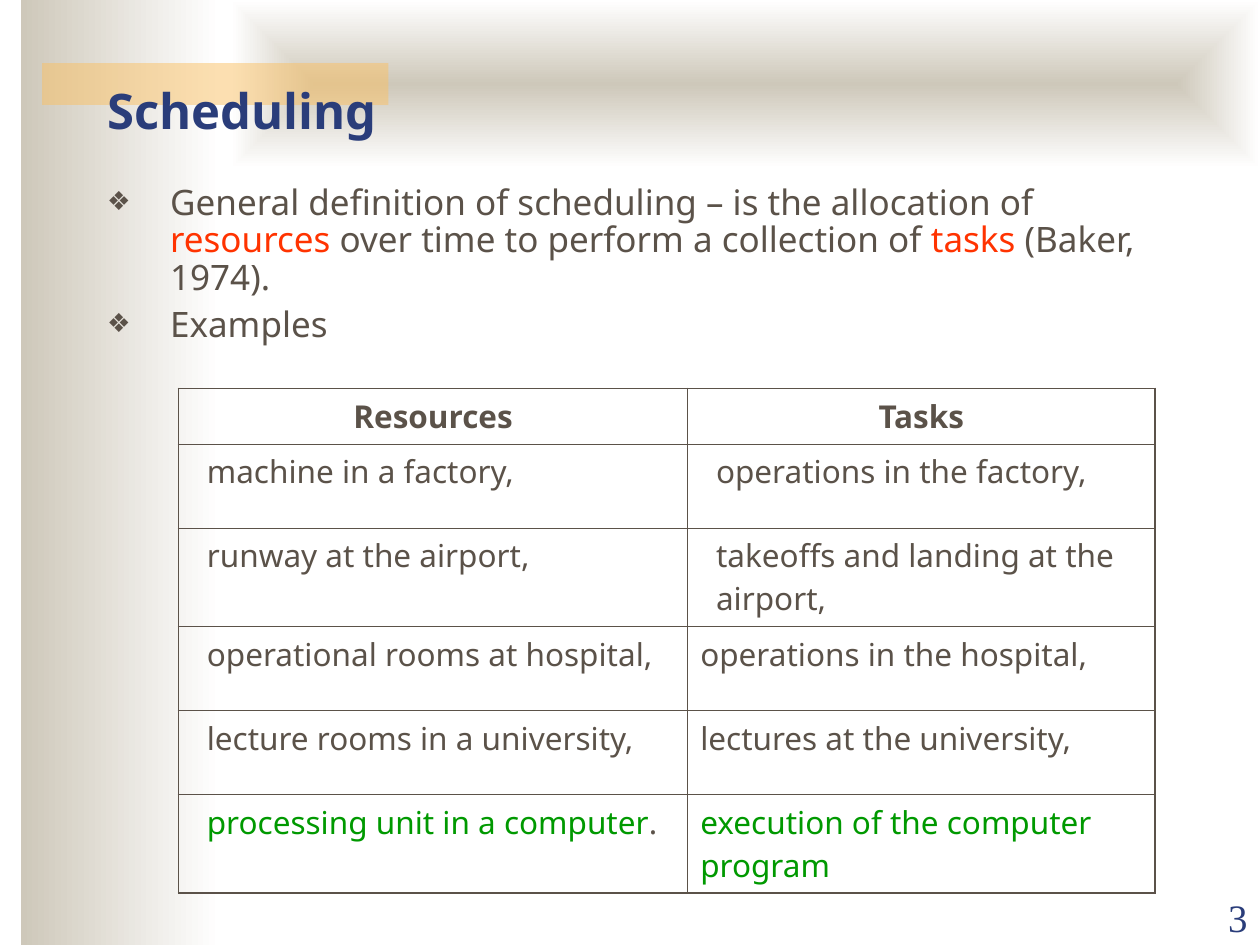
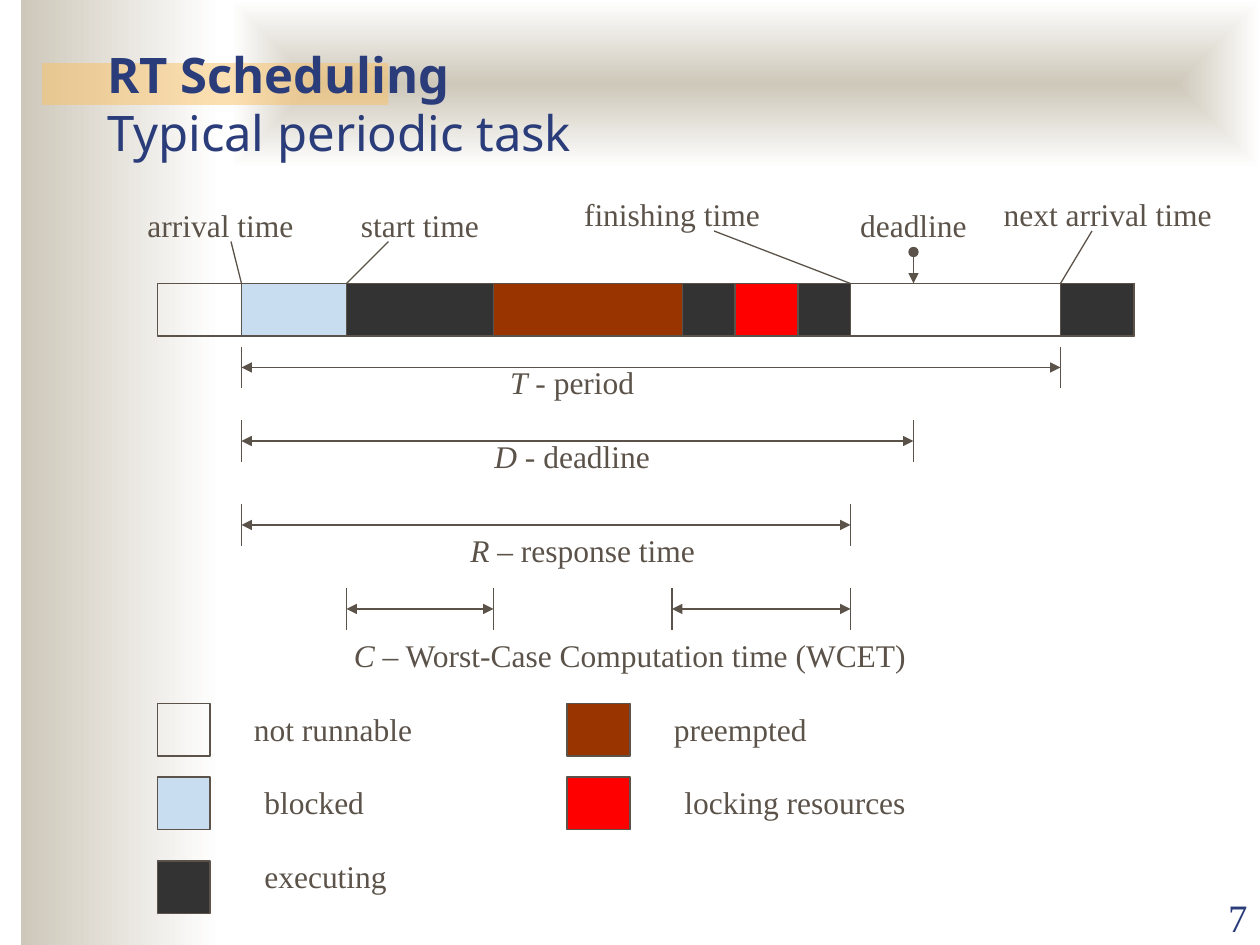
import lxml.etree
import pptx
import pptx.dml.color
import pptx.enum.shapes
import pptx.enum.text
import pptx.oxml
import pptx.oxml.ns
import pptx.util

PX = 9525  # EMU in one px, 96 px to the inch
COLORS = {
    "text": "5B5249", "title": "2A3D7A", "band": "CEC8BA", "white": "FFFFFF",
    "accent": "FAC164", "highlight": "FF3300", "computer": "009900",
    "blocked": "C9DDF1", "executing": "333333", "preempted": "993300",
    "locking": "FF0000",
}
RGB = {name: pptx.dml.color.RGBColor.from_string(value) for name, value in COLORS.items()}
SANS, SERIF = "Noto Sans", "Times New Roman"
ALIGN = pptx.enum.text.PP_ALIGN
ANCHOR = pptx.enum.text.MSO_ANCHOR
RECTANGLE = pptx.enum.shapes.MSO_SHAPE.RECTANGLE
STRAIGHT = pptx.enum.shapes.MSO_CONNECTOR.STRAIGHT
qn = pptx.oxml.ns.qn
nsdecls = pptx.oxml.ns.nsdecls


def write(frame, *lines, font=SERIF, size=18, color="text", bold=False,
          align=ALIGN.LEFT, anchor=ANCHOR.TOP):
    """Fill a text frame; a line is a string or a list of (text, changes) spans."""
    frame.word_wrap = True
    frame.auto_size = pptx.enum.text.MSO_AUTO_SIZE.NONE
    frame.vertical_anchor = anchor
    for number, line in enumerate(lines):
        para = frame.add_paragraph() if number else frame.paragraphs[0]
        para.alignment = align
        for text, changes in [(line, {})] if isinstance(line, str) else line:
            span = para.add_run()
            span.text = text
            span.font.name = font
            span.font.size = pptx.util.Pt(size)
            span.font.bold = changes.get("bold", bold)
            span.font.italic = changes.get("italic", False)
            span.font.color.rgb = RGB[changes.get("color", color)]


def draw_line(page, x1, y1, x2, y2, head=None, tail=None):
    line = page.shapes.add_connector(STRAIGHT, x1 * PX, y1 * PX, x2 * PX, y2 * PX)
    line.line.color.rgb = RGB["text"]
    line.line.width = pptx.util.Pt(0.75)
    for tag, kind in (("a:headEnd", head), ("a:tailEnd", tail)):
        if kind:
            lxml.etree.SubElement(line.line._get_or_add_ln(), qn(tag), type=kind)
    lxml.etree.SubElement(line.element.spPr, qn("a:effectLst"))


deck = pptx.Presentation()
deck.slide_width, deck.slide_height = 960 * PX, 720 * PX

# Pages with their titles and numbers
pages = []
for layout, place, anchor, lines, number in (
    (1, (72, 40, 800, 88), ANCHOR.MIDDLE, ["Scheduling"], "3"),
    (5, (72, 24, 816, 104), ANCHOR.BOTTOM,
     ["RT Scheduling", [("Typical periodic task", {"bold": False})]], "7"),
):
    page = deck.slides.add_slide(deck.slide_layouts[layout])
    title = page.shapes.title
    title.left, title.top, title.width, title.height = [v * PX for v in place]
    write(title.text_frame, *lines, font=SANS, size=28, color="title", bold=True, anchor=anchor)
    box = page.shapes.add_textbox(864 * PX, 673 * PX, 96 * PX, 48 * PX)
    write(box.text_frame, number, size=22.2, color="title", align=ALIGN.RIGHT, anchor=ANCHOR.BOTTOM)
    pages.append(page)
definition_page, timeline_page = pages

# Bands shared through the slide master
bands = []
for place in ((16, 0, 152, 720), (176, 0, 784, 128), (32, 48, 264, 32)):
    band = definition_page.shapes.add_shape(RECTANGLE, *[v * PX for v in place])
    band.shadow.inherit = False
    band.line.fill.background()
    bands.append(band)
side_band, top_band, accent_band = bands
for band in (side_band, top_band):
    band.fill.gradient()
    band.fill.gradient_angle = 0
    for stop, color, position in zip(band.fill.gradient_stops, ("band", "white"), (0, 1)):
        stop.color.rgb = RGB[color]
        stop.position = position
linear = top_band.element.spPr.find(".//" + qn("a:lin"))
linear.getparent().replace(linear, pptx.oxml.parse_xml(
    f'<a:path {nsdecls("a")} path="rect">'
    '<a:fillToRect l="50000" t="50000" r="50000" b="50000"/></a:path>'))
accent_band.fill.solid()
accent_band.fill.fore_color.rgb = RGB["accent"]
accent_color = accent_band.element.spPr.find(".//" + qn("a:srgbClr"))
lxml.etree.SubElement(accent_color, qn("a:alpha"), val="50000")
for index, band in enumerate(bands):
    deck.slide_master.shapes.element.insert(2 + index, band.element)

# Definition of scheduling
body = definition_page.placeholders[1]
body.left, body.top, body.width, body.height = [v * PX for v in (72, 136, 824, 144)]
highlight = {"color": "highlight"}
write(body.text_frame,
      [("General definition of scheduling – is the allocation of ", {}),
       ("resources", highlight),
       (" over time to perform a collection of ", {}),
       ("tasks", highlight),
       (" (Baker, 1974).", {})],
      "Examples", font=SANS, size=20)
for number, para in enumerate(body.text_frame.paragraphs):
    properties = para._p.get_or_add_pPr()
    properties.set("marL", str(48 * PX))
    properties.set("indent", str(-48 * PX))
    bullet_color = lxml.etree.SubElement(properties, qn("a:buClr"))
    lxml.etree.SubElement(bullet_color, qn("a:srgbClr"), val=COLORS["text"])
    lxml.etree.SubElement(properties, qn("a:buSzPct"), val="75000")
    lxml.etree.SubElement(properties, qn("a:buChar"), char="❖")
    para.line_spacing = 0.9
    para.space_before = pptx.util.Pt(5 if number else 0)

# Examples of resources and tasks
computer = {"color": "computer"}
examples = [
    ("Resources", "Tasks"),
    ("machine in a factory,", "operations in the factory,"),
    ("runway at the airport,", "takeoffs and landing at the airport,"),
    ("operational rooms at hospital,", "operations in the hospital,"),
    ("lecture rooms in a university,", "lectures at the university,"),
    ([("processing unit in a computer", computer), (".", {})],
     [("execution of the computer program", computer)]),
]
row_heights, column_widths = (40, 64, 73, 64, 64, 67), (388, 356)
table = definition_page.shapes.add_table(
    len(row_heights), len(column_widths), *[v * PX for v in (136, 296, 744, 372)]).table
table.first_row = table.horz_banding = False
for column, width in zip(table.columns, column_widths):
    column.width = width * PX
for r, (row, height) in enumerate(zip(table.rows, row_heights)):
    row.height = height * PX
    for c, cell in enumerate(row.cells):
        para = cell.text_frame.paragraphs[0]
        write(cell.text_frame, examples[r][c], font=SANS, bold=r == 0,
              align=ALIGN.LEFT if r else ALIGN.CENTER)
        if r and (c == 0 or r < 3):
            para.level = 1
            para._p.get_or_add_pPr().set("marL", str(12 * PX))
        cell.fill.background()
        outer_sides = (c == 0, c == 1, r == 0, r == len(row_heights) - 1)
        for index, (side, outer) in enumerate(zip("LRTB", outer_sides)):
            width = pptx.util.Pt(1.08 if outer else 0.45)
            cell._tc.get_or_add_tcPr().insert(index, pptx.oxml.parse_xml(
                f'<a:ln{side} {nsdecls("a")} w="{width}"><a:solidFill>'
                f'<a:srgbClr val="{COLORS["text"]}"/></a:solidFill></a:ln{side}>'))

# Timeline and legend boxes
BAR_TOP, BAR_HEIGHT = 216, 40
segments = [
    (120, 864, None), (184, 808, None), (184, 264, "blocked"), (264, 376, "executing"),
    (376, 520, "preempted"), (520, 560, "executing"), (560, 608, "locking"),
    (608, 648, "executing"), (808, 864, "executing"),
]
legend = [  # swatch left, top, width, colour; label, left, top, width
    (120, 536, 40, None, "not runnable", 184, 536, 152),
    (120, 592, 40, "blocked", "blocked", 192, 592, 128),
    (120, 656, 40, "executing", "executing", 192, 648, 128),
    (432, 536, 48, "preempted", "preempted", 504, 536, 144),
    (432, 592, 48, "locking", "locking resources", 512, 592, 208),
]
boxes = [(left, BAR_TOP, right - left, color) for left, right, color in segments]
boxes += [entry[:4] for entry in legend]
for left, top, width, color in boxes:
    box = timeline_page.shapes.add_shape(
        RECTANGLE, left * PX, top * PX, width * PX, BAR_HEIGHT * PX)
    box.shadow.inherit = False
    box.line.color.rgb = RGB["text"]
    box.line.width = pptx.util.Pt(0.75)
    if color:
        box.fill.solid()
        box.fill.fore_color.rgb = RGB[color]
    else:
        box.fill.background()

# Events above the bar: label left, top, width; pointer start and end
events = [
    ("arrival time", 96, 152, 144, 176, 184, 184),
    ("start time", 248, 152, 144, 296, 184, 264),
    ("finishing time", 424, 144, 176, 544, 176, 648),
    ("deadline", 624, 152, 144, 696, 192, 696),
    ("next arrival time", 752, 144, 184, 832, 176, 808),
]
labels = [entry[4:] + (ALIGN.LEFT,) for entry in legend]
for text, left, top, width, x1, y1, x2 in events:
    ends = ("oval", "triangle") if text == "deadline" else (None, None)
    draw_line(timeline_page, x1, y1, x2, BAR_TOP, *ends)
    labels.append((text, left, top, width, ALIGN.CENTER))

# Measured intervals below the bar
for x1, x2, y in ((184, 808, 280), (184, 696, 336), (184, 648, 400),
                  (264, 376, 464), (512, 648, 464)):
    draw_line(timeline_page, x1, y, x2, y, "triangle", "triangle")
    for x in (x1, x2):
        draw_line(timeline_page, x, y - 16, x, y + 16)
for symbol, meaning, left, top, width in (
    ("T", " - period", 272, 272, 328),
    ("D", " - deadline", 272, 328, 328),
    ("R", " – response time", 280, 400, 328),
    ("C", " – Worst-Case Computation time (WCET)", 248, 480, 464),
):
    spans = [(symbol, {"italic": True}), (meaning, {})]
    labels.append((spans, left, top, width, ALIGN.CENTER))

for text, left, top, width, align in labels:
    box = timeline_page.shapes.add_textbox(left * PX, top * PX, width * PX, 38 * PX)
    write(box.text_frame, text, align=align)

deck.save("out.pptx")
